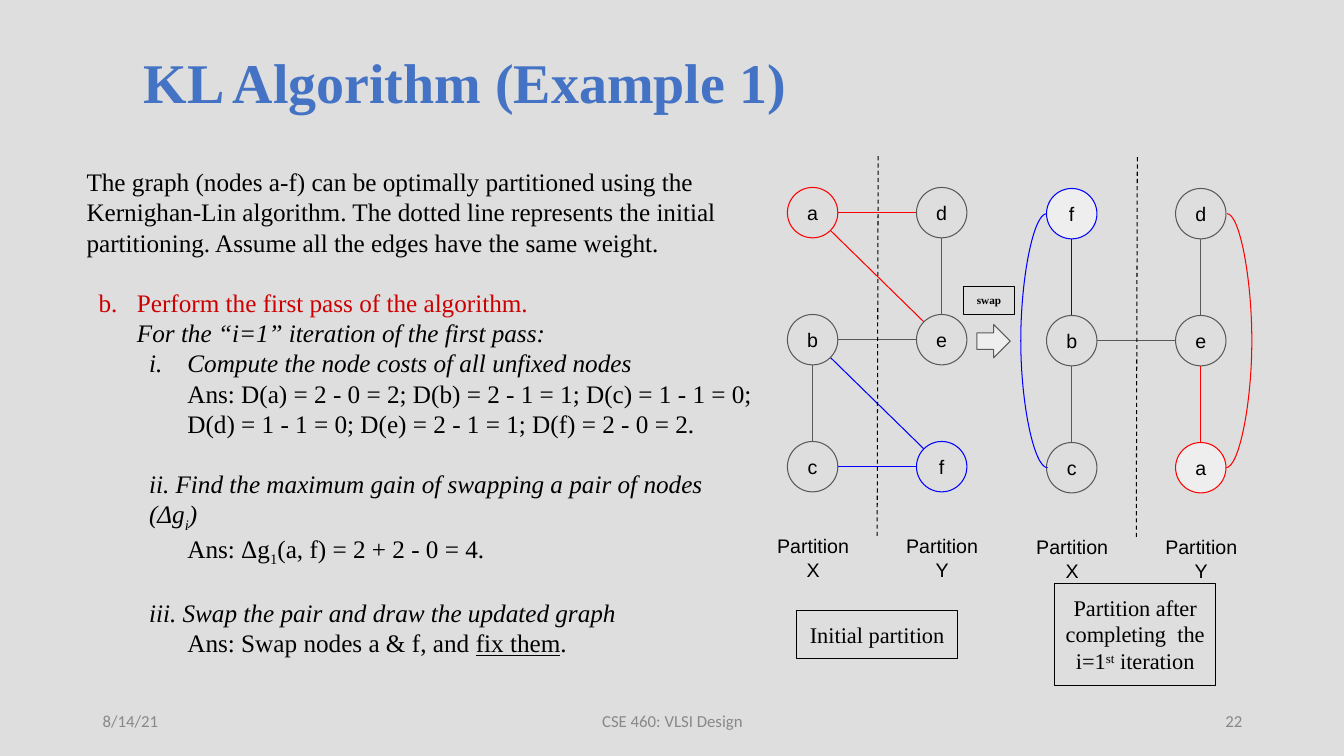
from pptx import Presentation
from pptx.dml.color import RGBColor
from pptx.enum.dml import MSO_LINE
from pptx.enum.shapes import MSO_CONNECTOR, MSO_SHAPE
from pptx.enum.text import MSO_ANCHOR, PP_ALIGN
from pptx.oxml.ns import qn
from pptx.util import Inches, Pt
from lxml import etree

BLACK = RGBColor(0x00, 0x00, 0x00)
GRAY = RGBColor(0x59, 0x59, 0x59)
RED = RGBColor(0xFF, 0x00, 0x00)
BLUE = RGBColor(0x00, 0x00, 0xFF)
TASK_RED = RGBColor(0xCC, 0x00, 0x00)
TITLE_BLUE = RGBColor(0x44, 0x72, 0xC4)
FOOTER = RGBColor(0x88, 0x88, 0x88)
PALE = RGBColor(0xEE, 0xEE, 0xEE)
BACKGROUND = RGBColor(0xDD, 0xDE, 0xDD)

LEFT, CENTER, RIGHT = PP_ALIGN.LEFT, PP_ALIGN.CENTER, PP_ALIGN.RIGHT
TOP, MIDDLE = MSO_ANCHOR.TOP, MSO_ANCHOR.MIDDLE
OVAL, RECT, ARROW = MSO_SHAPE.OVAL, MSO_SHAPE.RECTANGLE, MSO_SHAPE.RIGHT_ARROW
STRAIGHT, CURVE = MSO_CONNECTOR.STRAIGHT, MSO_CONNECTOR.CURVE
DASH = MSO_LINE.DASH

SERIF, SANS, FOOT_FONT = "Times New Roman", "Arial", "Calibri"
NODE, COL_STEP, ROW_STEP = 0.5, 1.28, 1.26
R, DIAG = NODE / 2, 0.18


class SlideBuilder:
    def __init__(self, prs):
        self.s = prs.slides.add_slide(prs.slide_layouts[6])
        self.s.background.fill.solid()
        self.s.background.fill.fore_color.rgb = BACKGROUND

    def frame(self, sp, anchor, inset):
        tf = sp.text_frame
        tf.word_wrap = True
        tf.vertical_anchor = anchor
        tf.margin_left = tf.margin_right = Inches(inset[0])
        tf.margin_top = tf.margin_bottom = Inches(inset[1])
        return tf

    def run(self, p, text, font=SERIF, size=18, color=BLACK, bold=False,
            italic=False, underline=False, baseline=0):
        r = p.add_run()
        r.text = text
        f = r.font
        f.name, f.size, f.bold, f.italic = font, Pt(size), bold, italic
        f.underline = underline
        f.color.rgb = color
        if baseline:
            r._r.get_or_add_rPr().set("baseline", str(baseline * 1000))

    def text(self, box, text, align=LEFT, anchor=MIDDLE, inset=(0.1, 0.05), **style):
        sp = self.s.shapes.add_textbox(*map(Inches, box))
        p = self.frame(sp, anchor, inset).paragraphs[0]
        p.alignment = align
        self.run(p, text, **style)
        return p

    def shape(self, kind, box, line, fill=None, runs=(), anchor=MIDDLE, inset=(0.1, 0.1)):
        sp = self.s.shapes.add_shape(kind, *map(Inches, box))
        sp.shadow.inherit = False
        if fill is None:
            sp.fill.background()
        else:
            sp.fill.solid()
            sp.fill.fore_color.rgb = fill
        sp.line.color.rgb = line
        sp.line.width = Pt(0.75)
        p = self.frame(sp, anchor, inset).paragraphs[0]
        p.alignment = CENTER
        for text, style in runs:
            self.run(p, text, **style)

    def line(self, start, end, color=GRAY, kind=STRAIGHT, dash=None, bend=None):
        cn = self.s.shapes.add_connector(kind, *map(Inches, start + end))
        cn.line.color.rgb = color
        cn.line.width = Pt(0.75)
        if dash:
            cn.line.dash_style = dash
        spPr = cn._element.spPr
        etree.SubElement(spPr, qn("a:effectLst"))
        if bend:
            av = spPr.find(qn("a:prstGeom")).get_or_add_avLst()
            etree.SubElement(av, qn("a:gd"), name="adj1", fmla=f"val {bend}")

    def paragraph(self, tf, runs, left=0, hang=0, level=0, before=0, number=None,
                  start=1, color=BLACK):
        p = tf.paragraphs[0] if not tf.paragraphs[0].runs else tf.add_paragraph()
        p.level = level
        pPr = p._p.get_or_add_pPr()
        pPr.set("marL", str(Inches(left)))
        pPr.set("indent", str(Inches(hang)))
        if number:
            clr = etree.SubElement(pPr, qn("a:buClr"))
            etree.SubElement(clr, qn("a:srgbClr"), val=str(color))
            bu = etree.SubElement(pPr, qn("a:buAutoNum"), type=number)
            if start > 1:
                bu.set("startAt", str(start))
        else:
            etree.SubElement(pPr, qn("a:buNone"))
        if before:
            p.space_before = Pt(before)
        for text, style in runs:
            if text == "\n":
                p.add_line_break()
            else:
                self.run(p, text, **style)

    def graph(self, left, top, nodes, edges):
        for i, (name, color, fill) in enumerate(nodes):
            col, row = divmod(i, 3)
            box = (left + col * COL_STEP, top + row * ROW_STEP, NODE, NODE)
            self.shape(OVAL, box, color, fill, [(name, dict(font=SANS, size=14))],
                       inset=(0, 0))
        names = [node[0] for node in nodes]
        for a, b, color in edges:
            (c1, r1), (c2, r2) = (divmod(names.index(n), 3) for n in (a, b))
            dx, dy = c2 - c1, r2 - r1
            off = DIAG if dx and dy else R
            x1, y1 = left + R + c1 * COL_STEP, top + R + r1 * ROW_STEP
            x2, y2 = left + R + c2 * COL_STEP, top + R + r2 * ROW_STEP
            self.line((x1 + dx * off, y1 + dy * off), (x2 - dx * off, y2 - dy * off), color)
        mid = left + R + COL_STEP / 2
        self.line((mid + 0.01, top - 0.31), (mid, top + 3.47), BLACK, dash=DASH)
        for col, name in enumerate("XY"):
            self.text((left - 0.21 + col * COL_STEP, top + 3.34, 0.93, 0.67),
                      f"Partition {name}", CENTER, TOP, (0.1, 0.1), font=SANS, size=14)


def main():
    prs = Presentation()
    prs.slide_width, prs.slide_height = Inches(13.33), Inches(7.5)
    b = SlideBuilder(prs)

    for left, width, text, align in ((0.92, 3, "8/14/21", LEFT),
                                     (4.42, 4.5, "CSE 460: VLSI Design", CENTER),
                                     (9.42, 3, "22", RIGHT)):
        b.text((left, 6.95, width, 0.4), text, align, font=FOOT_FONT, size=12, color=FOOTER)
    title = b.text((1.33, 0.46, 9.94, 0.78), "KL Algorithm (Example 1)", size=40,
                   color=TITLE_BLUE, bold=True)
    title.line_spacing = 0.9

    sp = b.s.shapes.add_textbox(*map(Inches, (0.76, 1.55, 6.82, 5.05)))
    tf = b.frame(sp, TOP, (0.1, 0.1))
    plain, ital = {}, dict(italic=True)
    b.paragraph(tf, [("The graph (nodes a-f) can be optimally partitioned using the "
                      "Kernighan-Lin algorithm. The dotted line represents the initial "
                      "partitioning. Assume all the edges have the same weight.", plain)])
    b.paragraph(tf, [("Perform the first pass of the algorithm.", dict(color=TASK_RED)),
                     ("\n", plain),
                     ("For the “i=1” iteration of the first pass:", ital)],
                0.5, -0.38, before=21.5, number="alphaLcPeriod", start=2, color=TASK_RED)
    b.paragraph(tf, [("Compute the node costs of all unfixed nodes", ital)],
                1, -0.38, 1, number="romanLcPeriod")
    b.paragraph(tf, [("Ans: D(a) = 2 - 0 = 2; D(b) = 2 - 1 = 1; D(c) = 1 - 1 = 0;", plain)], 1)
    b.paragraph(tf, [("D(d) = 1 - 1 = 0; D(e) = 2 - 1 = 1; D(f) = 2 - 0 = 2.", plain)], 1)
    b.paragraph(tf, [("ii. Find the maximum gain of swapping a pair of nodes (Δg", ital),
                     ("i", dict(italic=True, baseline=-25)), (")", ital)],
                0.62, level=1, before=21.5)
    b.paragraph(tf, [("Ans: Δg", plain), ("1", dict(baseline=-25)),
                     ("(a, f) = 2 + 2 - 0 = 4.", plain)], 1)
    b.paragraph(tf, [("iii. Swap the pair and draw the updated graph", ital)],
                0.62, level=1, before=21.5)
    b.paragraph(tf, [("Ans: Swap nodes a & f, and ", plain),
                     ("fix them", dict(underline=True)), (".", plain)], 1)

    b.graph(7.81, 1.86,
            [("a", RED, None), ("b", GRAY, None), ("c", GRAY, None),
             ("d", GRAY, None), ("e", GRAY, None), ("f", BLUE, None)],
            [("a", "d", RED), ("a", "e", RED), ("d", "e", GRAY), ("b", "e", GRAY),
             ("b", "c", GRAY), ("c", "f", BLUE), ("b", "f", BLUE)])
    b.graph(10.38, 1.87,
            [("f", BLUE, PALE), ("b", GRAY, None), ("c", GRAY, None),
             ("d", GRAY, None), ("e", GRAY, None), ("a", RED, PALE)],
            [("d", "e", GRAY), ("b", "e", GRAY), ("b", "c", GRAY),
             ("e", "a", RED), ("f", "b", BLUE)])
    b.line((12.16, 4.64), (12.17, 2.12), RED, CURVE, bend=2600000)
    b.line((10.38, 2.12), (10.39, 4.64), BLUE, CURVE, bend=-2600000)

    b.shape(ARROW, (9.69, 3.22, 0.33, 0.33), GRAY, PALE)
    note = dict(size=16)
    b.shape(RECT, (7.9, 6.06, 1.6, 0.47), BLACK, runs=[("Initial partition", note)], anchor=TOP)
    b.shape(RECT, (10.46, 5.79, 1.6, 1.01), BLACK, anchor=TOP,
            runs=[("Partition after completing  the i=1", note),
                  ("st", dict(size=16, baseline=30)), (" iteration", note)])
    b.shape(RECT, (9.56, 2.84, 0.5, 0.28), BLACK, runs=[("swap", dict(size=8, bold=True))])
    prs.save("out.pptx")


if __name__ == "__main__":
    main()
